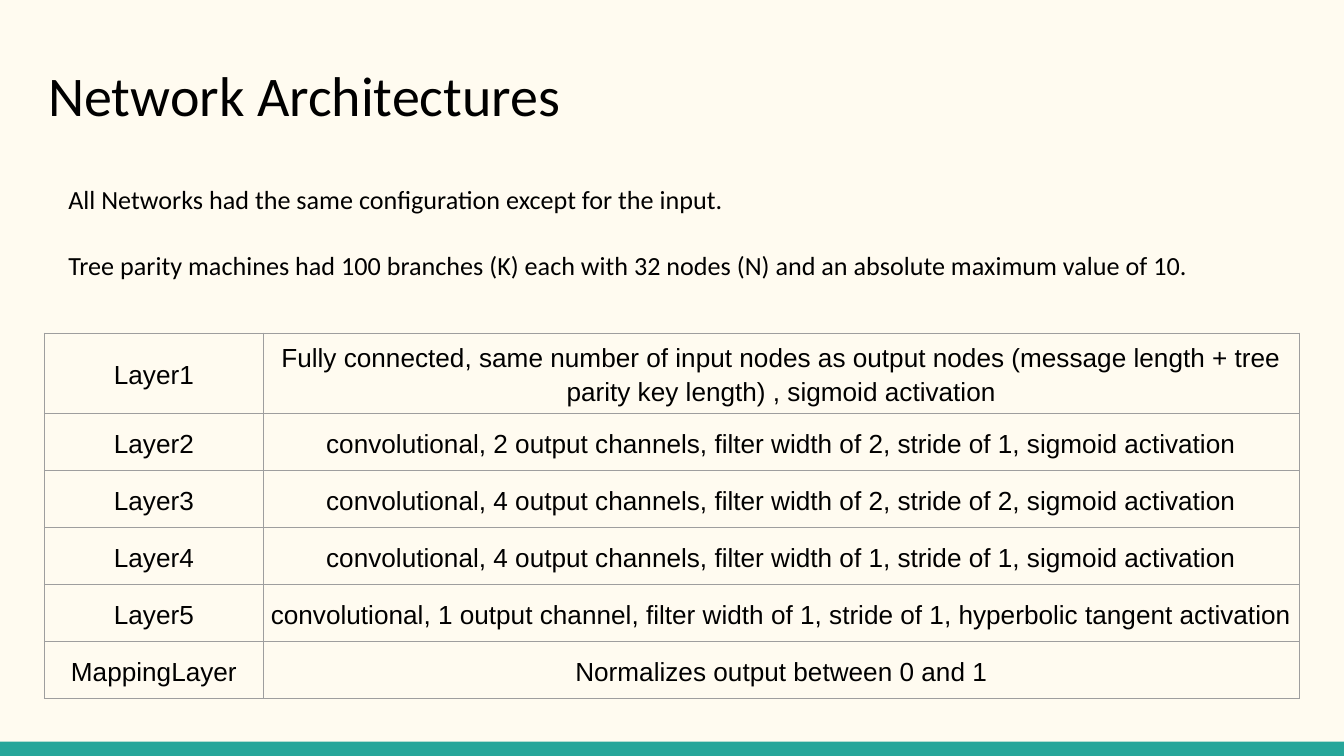
"""Build the Network Architectures slide."""
from lxml import etree
from pptx import Presentation
from pptx.dml.color import RGBColor
from pptx.enum.shapes import MSO_SHAPE
from pptx.enum.text import MSO_ANCHOR, PP_ALIGN
from pptx.oxml.ns import qn
from pptx.util import Pt

RECT = MSO_SHAPE.RECTANGLE
MIDDLE = MSO_ANCHOR.MIDDLE
CENTER = PP_ALIGN.CENTER
COLORS = {"page": "FFFBF0", "bar": "26A69A", "text": "000000", "rule": "9E9E9E"}
NOTES = [
    "All Networks had the same configuration except for the input.",
    "Tree parity machines had 100 branches (K) each with 32 nodes (N) "
    "and an absolute maximum value of 10.",
]
CONV = "convolutional, {}, filter width of {}, stride of {}, {} activation"
LAYERS = [
    ("Layer1", "Fully connected, same number of input nodes as output nodes "
               "(message length + tree parity key length) , sigmoid activation"),
    ("Layer2", CONV.format("2 output channels", 2, 1, "sigmoid")),
    ("Layer3", CONV.format("4 output channels", 2, 2, "sigmoid")),
    ("Layer4", CONV.format("4 output channels", 1, 1, "sigmoid")),
    ("Layer5", CONV.format("1 output channel", 1, 1, "hyperbolic tangent")),
    ("MappingLayer", "Normalizes output between 0 and 1"),
]


def style(para, size, face):
    for run in para.runs:
        run.font.size = Pt(size)
        run.font.name = face
        run.font.color.rgb = RGBColor.from_string(COLORS["text"])


def add_box(top, height, text):
    box = slide.shapes.add_textbox(Pt(18.7), Pt(top), Pt(671), Pt(height))
    frame = box.text_frame
    frame.word_wrap = True
    frame.margin_left = frame.margin_right = Pt(7.2)
    frame.margin_top = frame.margin_bottom = Pt(7.2)
    frame.text = text
    return frame


deck = Presentation()
deck.slide_width, deck.slide_height = Pt(720), Pt(405)
slide = deck.slides.add_slide(deck.slide_layouts[6])
fill = slide.background.fill
fill.solid()
fill.fore_color.rgb = RGBColor.from_string(COLORS["page"])

bar = slide.shapes.add_shape(RECT, 0, Pt(397.3), Pt(720), Pt(7.7))
bar.shadow.inherit = False
bar.fill.solid()
bar.fill.fore_color.rgb = RGBColor.from_string(COLORS["bar"])
bar.line.fill.background()

title = add_box(25.5, 45, "Network Architectures")
style(title.paragraphs[0], 30, "Calibri")

body = add_box(88.5, 269, "\n".join(NOTES))
for para in body.paragraphs:
    para.line_spacing = 1.15
    para.space_after = Pt(16)
    props = para._p.get_or_add_pPr()
    props.set("marL", str(Pt(36)))
    props.set("indent", str(Pt(-25.2)))
    style(para, 14, "Calibri")

frame = slide.shapes.add_table(len(LAYERS), 2, Pt(23.8), Pt(178.5), Pt(672), Pt(196))
table = frame.table
table.first_row = table.horz_banding = False
for col, width in zip(table.columns, (117.3, 555)):
    col.width = Pt(width)
for i, layer in enumerate(LAYERS):
    table.rows[i].height = Pt(30.6 if i else 43)
    for j, text in enumerate(layer):
        cell = table.cell(i, j)
        cell.fill.background()
        cell.vertical_anchor = MIDDLE
        cell.margin_left = cell.margin_right = Pt(2)
        cell.margin_top = cell.margin_bottom = Pt(1.5)
        cell.text_frame.text = text
        para = cell.text_frame.paragraphs[0]
        para.alignment = CENTER
        para.line_spacing = 1.15
        style(para, 14, "Arial")
        props = cell._tc.get_or_add_tcPr()
        for k, side in enumerate(("a:lnL", "a:lnR", "a:lnT", "a:lnB")):
            edge = etree.Element(qn(side), w=str(Pt(0.75)))
            solid = etree.SubElement(edge, qn("a:solidFill"))
            etree.SubElement(solid, qn("a:srgbClr"), val=COLORS["rule"])
            props.insert(k, edge)

deck.save("out.pptx")
